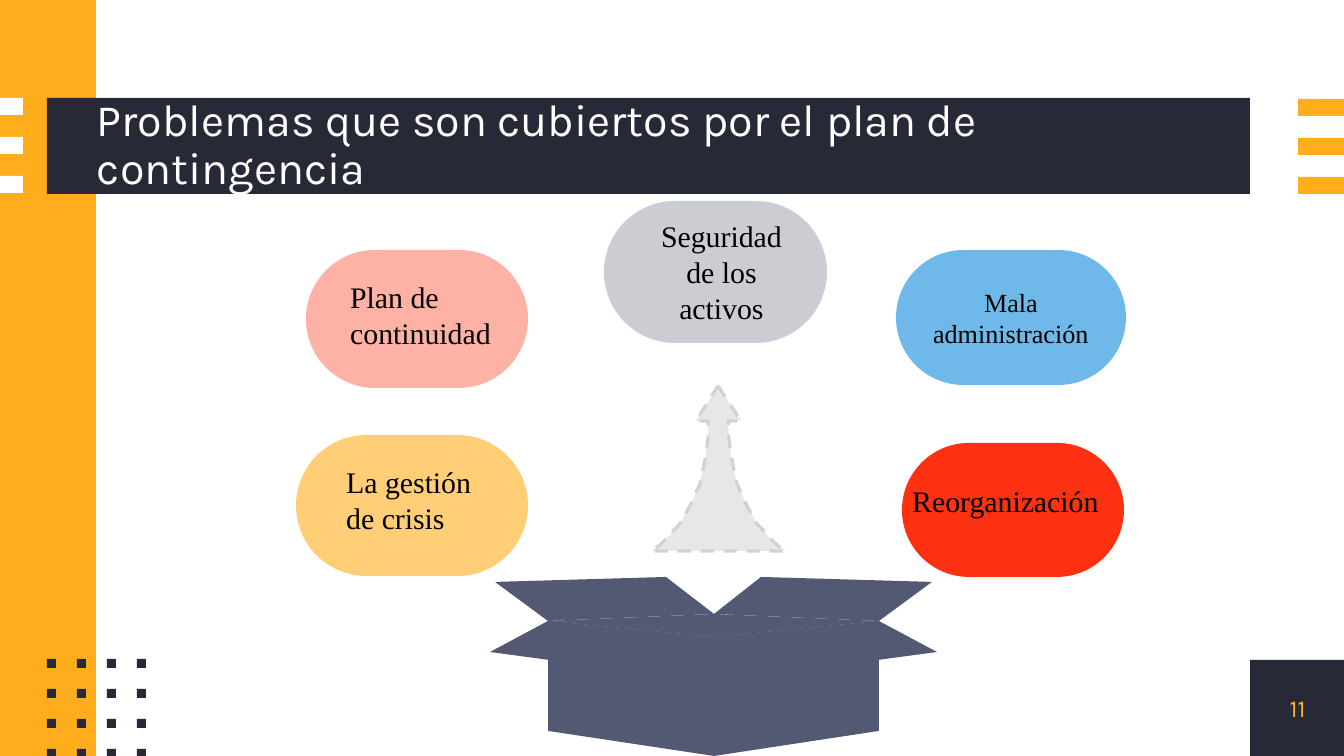
from lxml.etree import SubElement
from pptx import Presentation
from pptx.dml.color import RGBColor
from pptx.enum.dml import MSO_LINE
from pptx.enum.shapes import MSO_SHAPE as SHAPE
from pptx.enum.text import MSO_ANCHOR as ANCHOR, MSO_AUTO_SIZE as AUTO, PP_ALIGN as ALIGN
from pptx.oxml.ns import qn
from pptx.util import Pt

PX = 914400 / 134.4  # EMU per px

NAVY = RGBColor(0x27, 0x2A, 0x36)
ORANGE = RGBColor(0xFF, 0xAD, 0x1D)
WHITE = RGBColor(0xFF, 0xFF, 0xFF)
BLACK = RGBColor(0x00, 0x00, 0x00)
GREY = RGBColor(0xBF, 0xBF, 0xBF)
DASH_GREY = RGBColor(0xD2, 0xD2, 0xD2)
SLATE = RGBColor(0x53, 0x59, 0x73)
YELLOW = RGBColor(0xFF, 0xCE, 0x77)
PINK = RGBColor(0xFE, 0xB2, 0xA6)
SILVER = RGBColor(0xCC, 0xCD, 0xD3)
RED = RGBColor(0xFC, 0x31, 0x12)
BLUE = RGBColor(0x6E, 0xB9, 0xE9)

TITLE = "Problemas que son cubiertos por el plan de contingencia"
PAGE = "11"

# Pills: box, fill
PILLS = [
    ((296, 435, 232, 141), YELLOW),
    ((306, 250, 222, 138), PINK),
    ((604, 201, 223, 142), SILVER),
    ((902, 443, 222, 134), RED),
]
MANAGEMENT = ("Mala administración", (896, 250, 230, 135), BLUE)

# Labels over the pills: text, box, alignment
LABELS = [
    ("La gestión de crisis", (333, 457, 157, 86), ALIGN.LEFT),
    ("Plan de continuidad", (337, 272, 171, 86), ALIGN.LEFT),
    ("Seguridad de los activos", (637, 211, 169, 122), ALIGN.CENTER),
    ("Reorganización", (899, 476, 224, 50), ALIGN.LEFT),
]

# Left half of the open box; the right half mirrors it
BOX_AXIS = 713.5
BOX_FACES = [
    [(548, 731), (713.5, 756), (713.5, 637), (548, 621)],  # side
    [(490, 652), (661, 675), (713.5, 637), (548, 621)],    # front flap
    [(495, 582), (548, 621), (713.5, 614), (666, 577)],    # back flap
    [(548, 621), (713.5, 637), (713.5, 614)],              # inside
]

# Right half of the arrow, from the tip down to the curved shaft
ARROW_AXIS = 718.5
ARROW_HEAD = [(718.5, 386), (741, 421), (728.5, 421)]
ARROW_CURVE = [(728.5, 421), (728.5, 521), (786, 551), (786, 551)]


def emu(box):
    return [round(v * PX) for v in box]


def add_shape(kind, box, fill):
    sp = slide.shapes.add_shape(kind, *emu(box))
    return paint(sp, fill)


def paint(sp, fill):
    sp.shadow.inherit = False
    sp.fill.solid()
    sp.fill.fore_color.rgb = fill
    sp.line.fill.background()
    return sp


def add_pill(box, fill):
    sp = add_shape(SHAPE.ROUNDED_RECTANGLE, box, fill)
    sp.adjustments[0] = 0.5
    return sp


def add_polygon(points, fill):
    fb = slide.shapes.build_freeform(*points[0], scale=PX)
    fb.add_line_segments(points[1:], close=True)
    return paint(fb.convert_to_shape(), fill)


def write(sp, text, size, color, font, align=ALIGN.LEFT, inset=True):
    tf = sp.text_frame
    tf.word_wrap = True
    if not inset:
        tf.margin_left = tf.margin_top = tf.margin_right = tf.margin_bottom = 0
    p = tf.paragraphs[0]
    p.text = text
    p.alignment = align
    p.font.size = Pt(size)
    p.font.name = font
    p.font.color.rgb = color
    return tf


def mirror(points, axis):
    return [(2 * axis - x, y) for x, y in points]


def bezier(points, steps=16):
    a, b, c, d = points
    for i in range(1, steps + 1):
        t = i / steps
        u = 1 - t
        yield tuple(u**3 * a[k] + 3 * u * u * t * b[k] + 3 * u * t * t * c[k] + t**3 * d[k]
                    for k in (0, 1))


prs = Presentation()
prs.slide_width, prs.slide_height = emu((1344, 756))
slide = prs.slides.add_slide(prs.slide_layouts[6])

# Background bands
for box, fill in [((1250, 660, 95, 96), NAVY), ((0, 0, 96, 756), ORANGE),
                  ((47, 98, 1203, 96), NAVY)]:
    add_shape(SHAPE.RECTANGLE, box, fill)

# Stripes at both ends of the title bar
for i in range(3):
    add_shape(SHAPE.RECTANGLE, (0, 98 + 39 * i, 23, 17), WHITE)
    add_shape(SHAPE.RECTANGLE, (1298, 99 + 39 * i, 46, 17), ORANGE)

# Grid of dots
for row in range(4):
    for col in range(4):
        add_shape(SHAPE.RECTANGLE, (47 + 30 * col, 659 + 30 * row, 9, 9), NAVY)

# Title and page number
tf = write(slide.shapes.add_textbox(*emu((97, 98, 1153, 96))), TITLE, 24, WHITE, "Karla",
           inset=False)
tf.vertical_anchor = ANCHOR.MIDDLE
tf.paragraphs[0].line_spacing = 0.9
tf = write(slide.shapes.add_textbox(*emu((1250, 660, 95, 96))), PAGE, 13, ORANGE, "Karla",
           ALIGN.CENTER, inset=False)
tf.vertical_anchor = ANCHOR.MIDDLE

# Arrow
half = ARROW_HEAD + list(bezier(ARROW_CURVE))
arrow = add_polygon(half + mirror(half[:0:-1], ARROW_AXIS), GREY)
SubElement(arrow.fill._xPr.find(qn("a:solidFill"))[0], qn("a:alpha"), val="36000")
arrow.line.color.rgb = DASH_GREY
arrow.line.width = Pt(1.75)
arrow.line.dash_style = MSO_LINE.DASH

# Open box
for face in BOX_FACES:
    add_polygon(face, SLATE)
    add_polygon(mirror(face, BOX_AXIS), SLATE)

# Pills
for box, fill in PILLS:
    add_pill(box, fill)
text, box, fill = MANAGEMENT
tf = write(add_pill(box, fill), text, 14, BLACK, "Times New Roman", ALIGN.CENTER)
tf.vertical_anchor = ANCHOR.MIDDLE

# Pill labels
for text, box, align in LABELS:
    tf = write(slide.shapes.add_textbox(*emu(box)), text, 16, BLACK, "Times New Roman", align)
    tf.auto_size = AUTO.SHAPE_TO_FIT_TEXT

prs.save("out.pptx")
